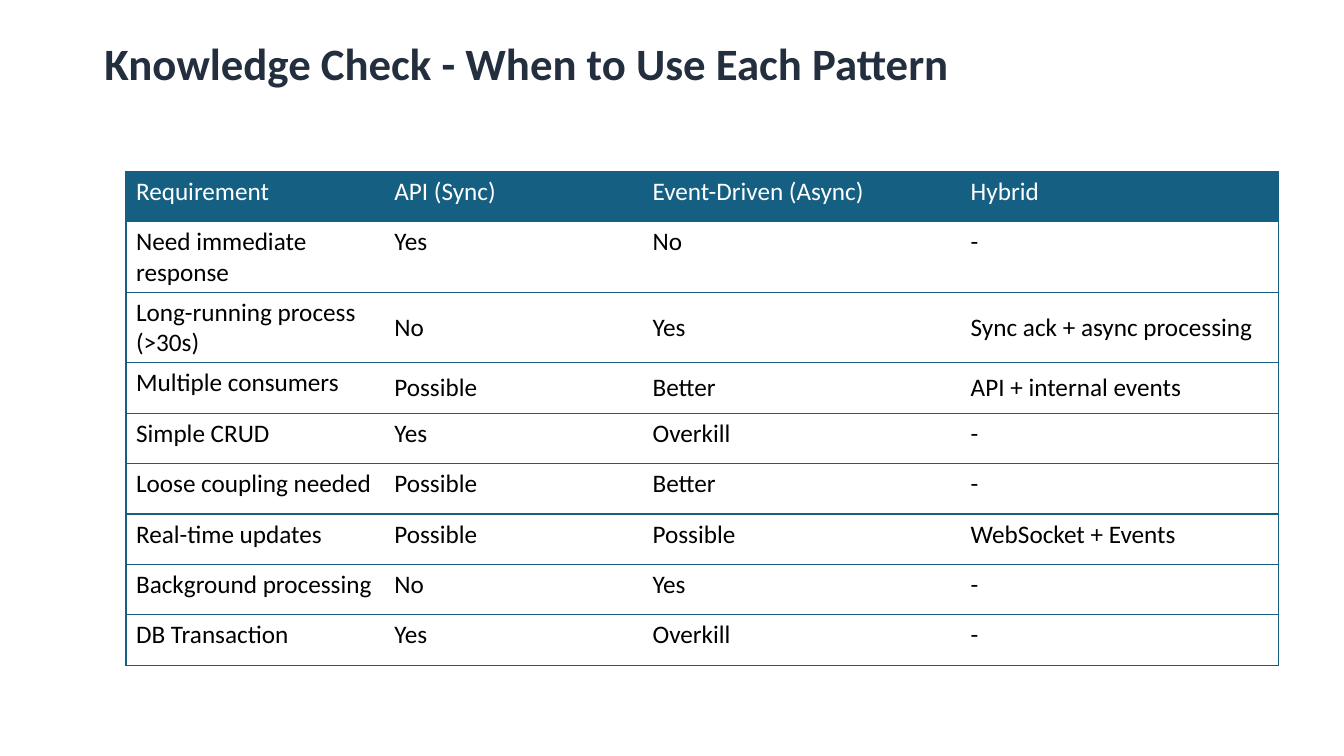
from lxml.etree import SubElement
from pptx import Presentation
from pptx.dml.color import RGBColor
from pptx.enum.text import MSO_ANCHOR, MSO_AUTO_SIZE
from pptx.oxml.ns import qn
from pptx.util import Emu, Pt

PX = 9525  # 96 px to the inch
FONT = "Calibri"
COLORS = {"title": "232F3E", "accent": "156082", "header": "FFFFFF", "body": "000000"}

TITLE = "Knowledge Check - When to Use Each Pattern"
COLUMN_WIDTHS = [246, 246, 303, 303]
ROW_HEIGHT = 48
ROWS = [
    ["Requirement", "API (Sync)", "Event-Driven (Async)", "Hybrid"],
    ["Need immediate response", "Yes", "No", "-"],
    ["Long-running process\n(>30s)", "No", "Yes", "Sync ack + async processing"],
    ["Multiple consumers", "Possible", "Better", "API + internal events"],
    ["Simple CRUD", "Yes", "Overkill", "-"],
    ["Loose coupling needed", "Possible", "Better", "-"],
    ["Real-time updates", "Possible", "Possible", "WebSocket + Events"],
    ["Background processing", "No", "Yes", "-"],
    ["DB Transaction", "Yes", "Overkill", "-"],
]
MIDDLE_ROWS = (2, 3)  # answers centred vertically


def px(*lengths):
    return [Emu(length * PX) for length in lengths]


def color(name):
    return RGBColor.from_string(COLORS[name])


def format_text(text_frame, color_name, **values):
    for paragraph in text_frame.paragraphs:
        for name, value in {"name": FONT, **values}.items():
            setattr(paragraph.font, name, value)
        paragraph.font.color.rgb = color(color_name)


def set_borders(cell, drawn_sides):
    properties = cell._tc.get_or_add_tcPr()
    for side in "LRTB":
        line = SubElement(properties, qn(f"a:ln{side}"), w=str(Pt(1)))
        if side in drawn_sides:
            fill = SubElement(line, qn("a:solidFill"))
            SubElement(fill, qn("a:srgbClr"), val=COLORS["accent"])
        else:
            SubElement(line, qn("a:noFill"))


def add_title(slide, box):
    text_frame = slide.shapes.add_textbox(*px(*box)).text_frame
    text_frame.word_wrap = True
    text_frame.auto_size = MSO_AUTO_SIZE.SHAPE_TO_FIT_TEXT
    text_frame.text = TITLE
    format_text(text_frame, "title", size=Pt(32), bold=True)


def fill_cell(cell, text, row, column):
    # Horizontal rules everywhere, vertical lines only at the outer edges
    sides = "TB"
    if column == 0:
        sides += "L"
    if column == len(COLUMN_WIDTHS) - 1:
        sides += "R"
    set_borders(cell, sides)

    if row == 0:
        cell.fill.solid()
        cell.fill.fore_color.rgb = color("accent")
    else:
        cell.fill.background()
    if row in MIDDLE_ROWS and column > 0:
        cell.vertical_anchor = MSO_ANCHOR.MIDDLE
    cell.text_frame.text = text
    format_text(cell.text_frame, "header" if row == 0 else "body",
                size=Pt(18), bold=False)


def add_pattern_table(slide, left, top):
    size = sum(COLUMN_WIDTHS), ROW_HEIGHT * len(ROWS)
    table = slide.shapes.add_table(
        len(ROWS), len(COLUMN_WIDTHS), *px(left, top, *size)).table
    table.horz_banding = False
    for column, width in zip(table.columns, px(*COLUMN_WIDTHS)):
        column.width = width
    for row, texts in enumerate(ROWS):
        for column, text in enumerate(texts):
            fill_cell(table.cell(row, column), text, row, column)


def main():
    presentation = Presentation()
    presentation.slide_width, presentation.slide_height = px(1280, 720)
    slide = presentation.slides.add_slide(presentation.slide_layouts[6])
    add_title(slide, (90, 29, 1097, 61))
    add_pattern_table(slide, 120, 163)
    presentation.save("out.pptx")


if __name__ == "__main__":
    main()
